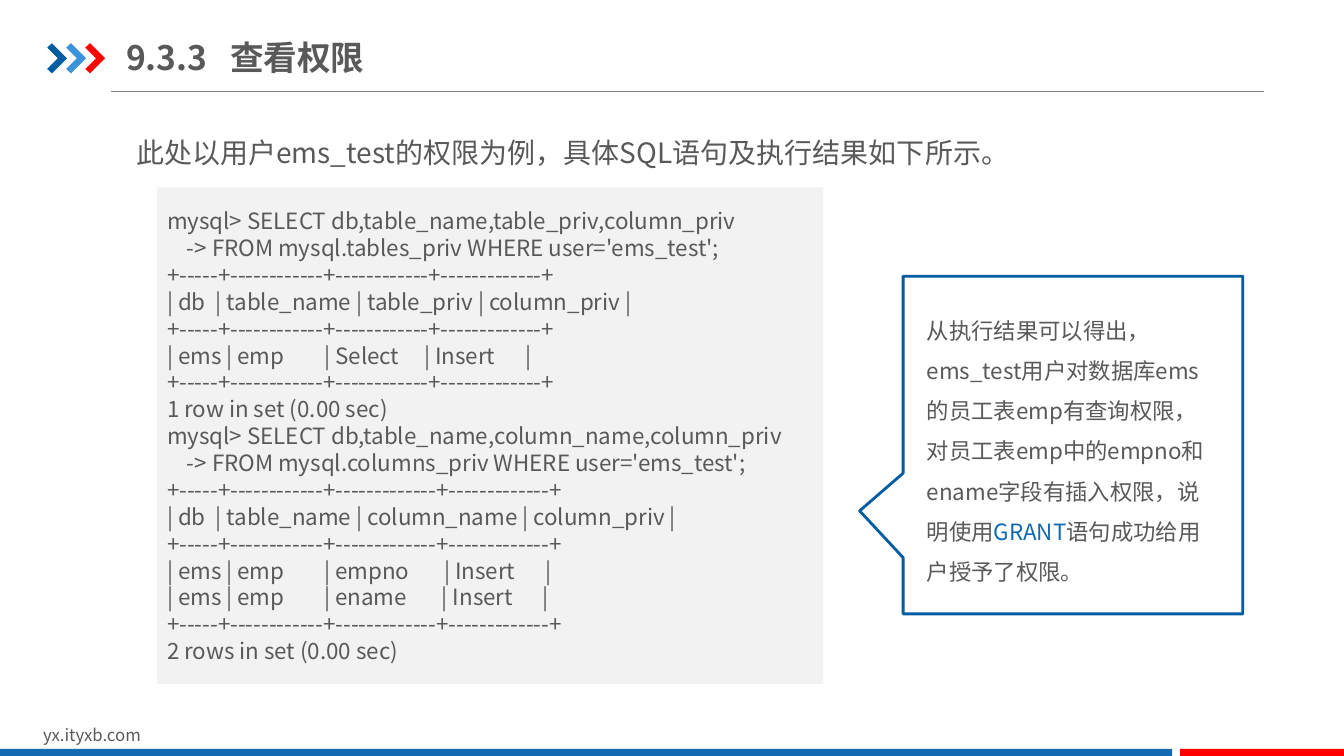
from lxml import etree
from pptx import Presentation
from pptx.dml.color import RGBColor
from pptx.enum.shapes import MSO_CONNECTOR, MSO_SHAPE
from pptx.enum.text import MSO_ANCHOR, PP_ALIGN
from pptx.oxml.ns import qn
from pptx.util import Cm, Pt

STRAIGHT = MSO_CONNECTOR.STRAIGHT
RECTANGLE = MSO_SHAPE.RECTANGLE
CALLOUT = MSO_SHAPE.RECTANGULAR_CALLOUT
MIDDLE, TOP = MSO_ANCHOR.MIDDLE, MSO_ANCHOR.TOP
LEFT = PP_ALIGN.LEFT
TITLE_ONLY = 5

FONT = "Noto Sans CJK SC"
COLORS = {
    "text": "595959",
    "navy": "005DA2",
    "sky": "3992DB",
    "red": "FF0000",
    "blue": "1369B2",
    "code": "F2F2F2",
    "white": "FFFFFF",
    "rule": "808080",
}

CODE = """\
mysql> SELECT db,table_name,table_priv,column_priv
    -> FROM mysql.tables_priv WHERE user='ems_test';
+-----+------------+------------+-------------+
| db  | table_name | table_priv | column_priv |
+-----+------------+------------+-------------+
| ems | emp        | Select     | Insert      |
+-----+------------+------------+-------------+
1 row in set (0.00 sec)
mysql> SELECT db,table_name,column_name,column_priv
    -> FROM mysql.columns_priv WHERE user='ems_test';
+-----+------------+-------------+-------------+
| db  | table_name | column_name | column_priv |
+-----+------------+-------------+-------------+
| ems | emp        | empno       | Insert      |
| ems | emp        | ename       | Insert      |
+-----+------------+-------------+-------------+
2 rows in set (0.00 sec)"""

CONCLUSION = [
    ("从执行结果可以得出，ems_test用户对数据库ems的员工表emp有查询权限，"
     "对员工表emp中的empno和ename字段有插入权限，说明使用", "text"),
    ("GRANT", "blue"),
    ("语句成功给用户授予了权限。", "text"),
]


def color(name):
    """Return the named colour."""
    return RGBColor.from_string(COLORS[name])


def add_run(paragraph, text, size, color_name="text", bold=False):
    """Append one formatted run to a paragraph."""
    run = paragraph.add_run()
    run.text = text
    run.font.size = Pt(size)
    run.font.bold = bold
    run.font.name = FONT
    run.font.color.rgb = color(color_name)
    east_asian = etree.SubElement(run.font._element, qn("a:ea"))
    east_asian.set("typeface", FONT)


def write(frame, paragraphs, size, spacing=None, anchor=TOP, bold=False):
    """Fill a text frame with paragraphs made of (text, colour) runs."""
    frame.word_wrap = True
    frame.vertical_anchor = anchor
    for index, runs in enumerate(paragraphs):
        paragraph = frame.add_paragraph() if index else frame.paragraphs[0]
        paragraph.alignment = LEFT
        if spacing:
            paragraph.line_spacing = spacing
        for text, color_name in runs:
            add_run(paragraph, text, size, color_name, bold)


def paint(shape, fill, line=None):
    """Give a shape a plain fill and an optional outline."""
    shape.shadow.inherit = False
    shape.fill.solid()
    shape.fill.fore_color.rgb = color(fill)
    if line:
        shape.line.color.rgb = color(line)
        shape.line.width = Pt(2)
    else:
        shape.line.fill.background()


def add_block(slide, kind, box, fill, line=None):
    """Add a preset shape at box, given in centimetres."""
    shape = slide.shapes.add_shape(kind, *map(Cm, box))
    paint(shape, fill, line)
    return shape


def add_text(slide, box, runs, size, spacing=None):
    """Add a text box holding one paragraph."""
    text_box = slide.shapes.add_textbox(*map(Cm, box))
    write(text_box.text_frame, [runs], size, spacing)


def add_chevron(slide, left, fill):
    """Add one chevron of the title mark."""
    top = 1.09
    outline = [(0, 0.11), (0.12, 0), (0.5, 0.38), (0.12, 0.76), (0, 0.65), (0.27, 0.38)]
    points = [(Cm(left + x), Cm(top + y)) for x, y in outline]
    builder = slide.shapes.build_freeform(*points[0])
    builder.add_line_segments(points[1:], close=True)
    paint(builder.convert_to_shape(), fill)


def add_rule(slide):
    """Add the thin line under the title."""
    rule = slide.shapes.add_connector(STRAIGHT, Cm(2.8), Cm(2.31), Cm(31.86), Cm(2.31))
    rule.line.color.rgb = color("rule")
    rule.line.width = Pt(0.75)
    etree.SubElement(rule._element.spPr, qn("a:effectLst"))


def set_title(slide, number, heading):
    """Place the title, with a tab stop between number and heading."""
    title = slide.shapes.title
    title.left, title.top, title.width, title.height = map(Cm, (3.18, 0.74, 11.79, 1.4))
    frame = title.text_frame
    frame.margin_left = frame.margin_right = 0
    properties = frame.paragraphs[0]._p.get_or_add_pPr()
    tabs = etree.SubElement(properties, qn("a:tabLst"))
    etree.SubElement(tabs, qn("a:tab"), pos=str(Cm(2.62)), algn="l")
    write(frame, [[(f"{number}\t{heading}", "text")]], 24, anchor=MIDDLE, bold=True)


def main():
    """Build the slide and save it."""
    presentation = Presentation()
    presentation.slide_width, presentation.slide_height = Cm(33.87), Cm(19.05)
    slide = presentation.slides.add_slide(presentation.slide_layouts[TITLE_ONLY])

    add_rule(slide)
    for index, fill in enumerate(("navy", "sky", "red")):
        add_chevron(slide, 1.19 + index * 0.48, fill)
    add_text(slide, (0.84, 18.14, 8.08, 0.76), [("yx.ityxb.com", "text")], 12)
    add_block(slide, RECTANGLE, (0, 18.87, 29.54, 0.23), "blue")
    add_block(slide, RECTANGLE, (29.74, 18.87, 4.13, 0.23), "red")

    set_title(slide, "9.3.3", "查看权限")
    add_text(slide, (3.18, 2.87, 24.08, 1.52),
             [("此处以用户ems_test的权限为例，具体SQL语句及执行结果如下所示。", "text")], 20, 1.5)

    listing = add_block(slide, RECTANGLE, (3.96, 4.72, 16.79, 12.52), "code")
    lines = [[(line, "text")] for line in CODE.splitlines()]
    write(listing.text_frame, lines, 16, anchor=MIDDLE)

    callout = add_block(slide, CALLOUT, (22.76, 6.96, 8.56, 8.51), "white", "navy")
    callout.adjustments[0], callout.adjustments[1] = -0.628, 0.195
    add_text(slide, (23.11, 7.52, 7.65, 7.44), CONCLUSION, 16, 1.5)

    presentation.save("out.pptx")


if __name__ == "__main__":
    main()
